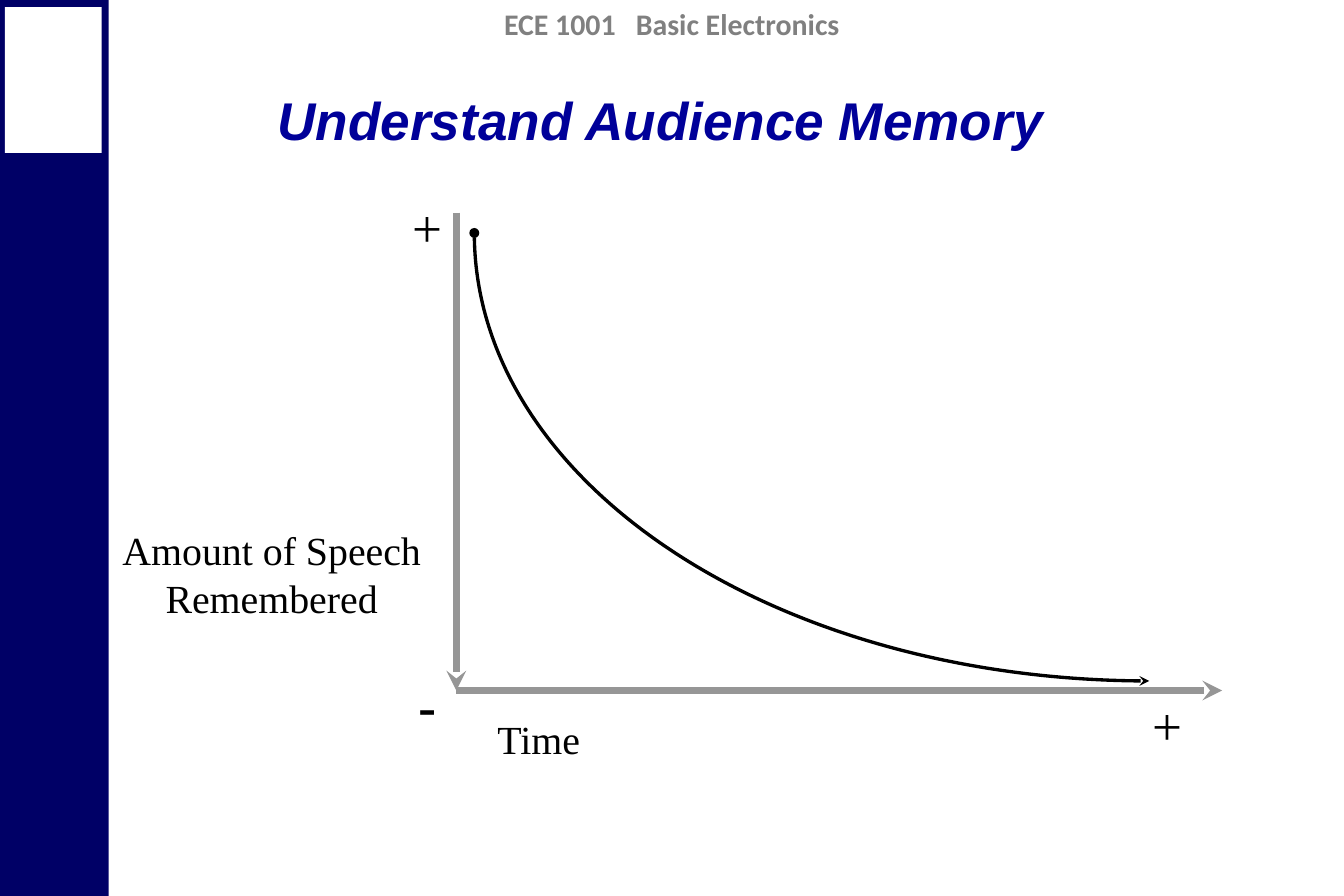
from pptx import Presentation
from pptx.dml.color import RGBColor
from pptx.enum import shapes, text
from pptx.oxml.ns import qn
from pptx.util import Inches, Pt
from lxml import etree

COLORS = {"navy": "000066", "title": "000099", "header": "808080",
          "axis": "969696", "ink": "000000", "white": "FFFFFF"}

deck = Presentation()
deck.slide_width, deck.slide_height = Inches(11.25), Inches(7.5)
slide = deck.slides.add_slide(deck.slide_layouts[6])


def add_label(lines, box, color, wrap=False, anchor=text.MSO_ANCHOR.TOP, **font_format):
    """Add centred text, one paragraph per line."""
    label = slide.shapes.add_textbox(*map(Inches, box))
    frame = label.text_frame
    frame.word_wrap = wrap
    frame.vertical_anchor = anchor
    frame.text = "\n".join(lines)
    for paragraph in frame.paragraphs:
        paragraph.alignment = text.PP_ALIGN.CENTER
        font = paragraph.runs[0].font
        font.color.rgb = RGBColor.from_string(COLORS[color])
        for attribute, value in font_format.items():
            setattr(font, attribute, value)


def style_line(shape, color, width, **ends):
    """Set colour, width in points and end markers, without a shadow."""
    shape.line.color.rgb = RGBColor.from_string(COLORS[color])
    shape.line.width = Pt(width)
    outline = shape.line._get_or_add_ln()
    for end, marker in ends.items():
        etree.SubElement(outline, qn(f"a:{end}"), type=marker)
    properties = shape._element.spPr
    if properties.find(qn("a:effectLst")) is None:
        etree.SubElement(properties, qn("a:effectLst"))


# Side band with its white panel
for box, color in [((-0.01, 0, 0.92, 7.5), "navy"), ((0.04, 0.06, 0.81, 1.22), "white")]:
    panel = slide.shapes.add_shape(shapes.MSO_SHAPE.RECTANGLE, *map(Inches, box))
    panel.shadow.inherit = False
    panel.fill.solid()
    panel.fill.fore_color.rgb = RGBColor.from_string(COLORS[color])
    panel.line.fill.background()

add_label(["ECE 1001   Basic Electronics"], (0, 0, 11.25, 0.4), "header", wrap=True,
          name="Calibri", size=Pt(18), bold=True)
add_label(["Understand Audience Memory"], (0.84, 0.42, 9.38, 1.15), "title", wrap=True,
          anchor=text.MSO_ANCHOR.MIDDLE, name="Arial", size=Pt(32), bold=True, italic=True)

# Memory curve: the three segments become the control points of one Bézier
start, *controls = [(Inches(x), Inches(y)) for x, y in
                    [(3.97, 1.95), (3.97, 4.02), (6.5, 5.7), (9.62, 5.7)]]
builder = slide.shapes.build_freeform(*start)
builder.add_line_segments(controls, close=False)
curve = builder.convert_to_shape()
curve.shadow.inherit = False
curve.fill.background()
segments = list(curve._element.iter(qn("a:lnTo")))
bezier = etree.SubElement(segments[0].getparent(), qn("a:cubicBezTo"))
for segment in segments:
    bezier.append(segment[0])
    segment.getparent().remove(segment)
style_line(curve, "ink", 2, headEnd="oval", tailEnd="stealth")

# Axes
origin = (3.82, 5.78)
for begin, end, marker in [((3.82, 1.78), origin, "tailEnd"),
                           ((10.23, 5.78), origin, "headEnd")]:
    axis = slide.shapes.add_connector(shapes.MSO_CONNECTOR.STRAIGHT,
                                      *map(Inches, begin + end))
    style_line(axis, "axis", 4, **{marker: "stealth"})

# Axis labels
for lines, box, size, bold in [
    (["Time"], (4.06, 5.93, 0.9, 0.51), 24, False),
    (["Amount of Speech", "Remembered"], (0.91, 4.35, 2.73, 0.91), 24, False),
    (["+"], (9.54, 5.75, 0.46, 0.64), 32, False),
    (["+"], (3.35, 1.58, 0.46, 0.64), 32, False),
    (["-"], (3.4, 5.58, 0.35, 0.64), 32, True),
]:
    add_label(lines, box, "ink", name="Times New Roman", size=Pt(size), bold=bold)

deck.save("out.pptx")
